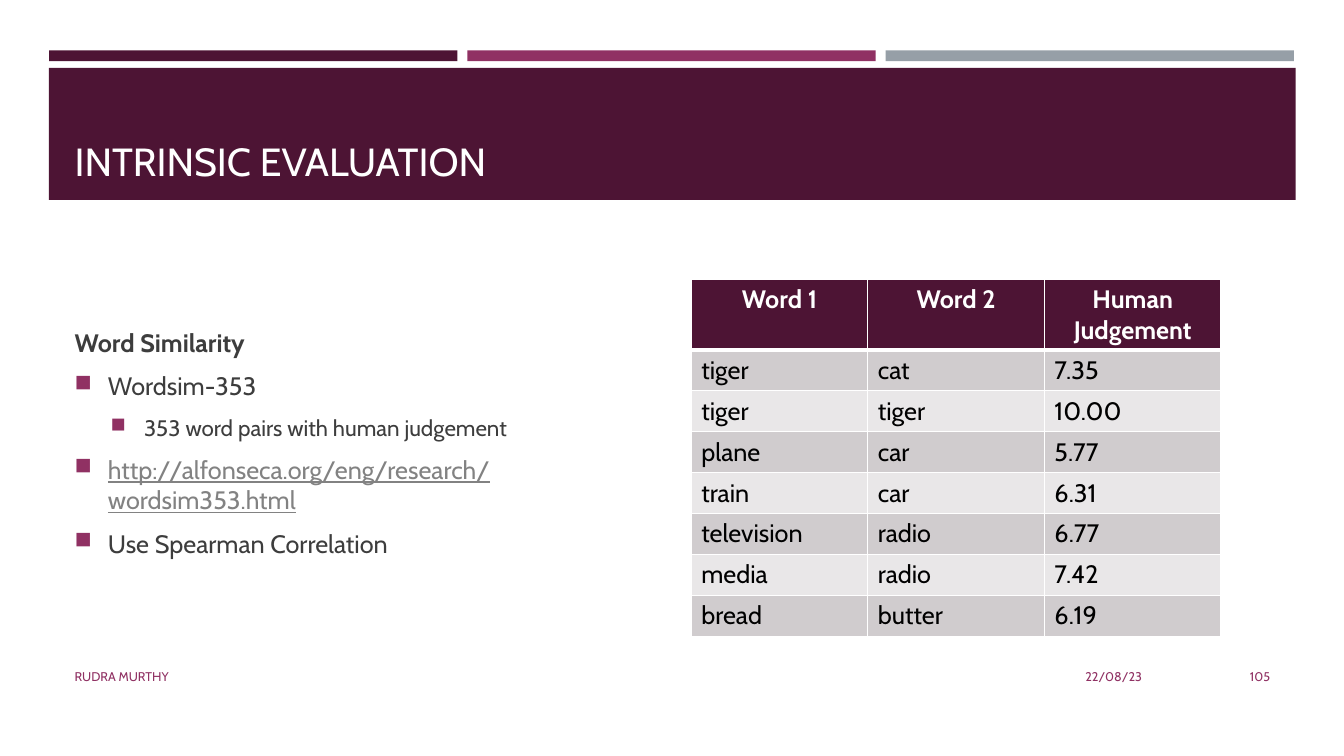
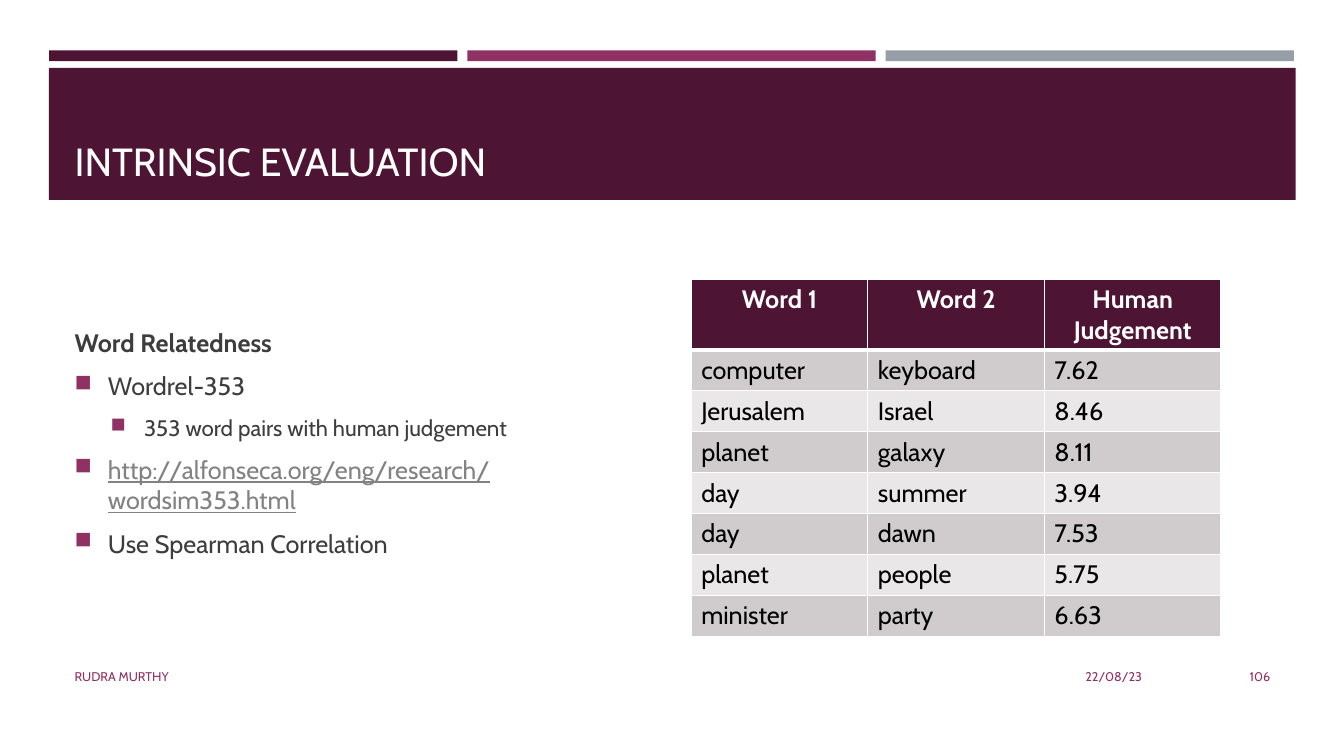
from dataclasses import dataclass

from lxml import etree
from pptx import Presentation
from pptx.dml.color import RGBColor
from pptx.enum import shapes, text
from pptx.oxml import ns
from pptx.util import Cm, Pt


@dataclass(frozen=True)
class Theme:
    font: str = "Cabin"
    plum: str = "4D1434"
    magenta: str = "903163"
    grey: str = "969FA7"
    white: str = "FFFFFF"
    body: str = "3D3D3D"
    link: str = "828282"
    cell: str = "000000"
    row_fills: tuple = ("D0CCCE", "E9E7E8")
    title_size: int = 28
    text_size: int = 18
    sub_size: int = 16
    footer_size: int = 9


THEME = Theme()
LEFT, CENTER, RIGHT = text.PP_ALIGN.LEFT, text.PP_ALIGN.CENTER, text.PP_ALIGN.RIGHT

TITLE = "INTRINSIC EVALUATION"
AUTHOR, DATE = "RUDRA MURTHY", "22/08/23"
HEADINGS = ("Word 1", "Word 2", "Human Judgement")
DATASET_URL = "http://alfonseca.org/eng/research/wordsim353.html"

SLIDES = [
    {
        "number": "105",
        "task": "Word Similarity",
        "dataset": "Wordsim-353",
        "pairs": [
            ("tiger", "cat", "7.35"),
            ("tiger", "tiger", "10.00"),
            ("plane", "car", "5.77"),
            ("train", "car", "6.31"),
            ("television", "radio", "6.77"),
            ("media", "radio", "7.42"),
            ("bread", "butter", "6.19"),
        ],
    },
    {
        "number": "106",
        "task": "Word Relatedness",
        "dataset": "Wordrel-353",
        "pairs": [
            ("computer", "keyboard", "7.62"),
            ("Jerusalem", "Israel", "8.46"),
            ("planet", "galaxy", "8.11"),
            ("day", "summer", "3.94"),
            ("day", "dawn", "7.53"),
            ("planet", "people", "5.75"),
            ("minister", "party", "6.63"),
        ],
    },
]

MARGIN = 1.63
# Indent of the text, in cm, for each bullet level
BULLET_INDENTS = (0.84, 1.75)
BULLET_HANG = 0.84


def add_band(slide, left, top, width, height, color):
    band = slide.shapes.add_shape(
        shapes.MSO_SHAPE.RECTANGLE, Cm(left), Cm(top), Cm(width), Cm(height))
    band.shadow.inherit = False
    band.fill.solid()
    band.fill.fore_color.rgb = RGBColor.from_string(color)
    band.line.fill.background()


def add_frame(slide, left, top, width, height, anchor):
    frame = slide.shapes.add_textbox(
        Cm(left), Cm(top), Cm(width), Cm(height)).text_frame
    frame.word_wrap = True
    frame.vertical_anchor = anchor
    return frame


def add_run(paragraph, words, size, color, bold=False, underline=False):
    run = paragraph.add_run()
    run.text = words
    font = run.font
    font.name, font.size = THEME.font, Pt(size)
    font.bold, font.underline = bold, underline
    font.color.rgb = RGBColor.from_string(color)


def add_bullet(paragraph, level):
    props = paragraph._p.get_or_add_pPr()
    props.set("marL", str(Cm(BULLET_INDENTS[level])))
    props.set("indent", str(-Cm(BULLET_HANG)))
    color = etree.SubElement(props, ns.qn("a:buClr"))
    etree.SubElement(color, ns.qn("a:srgbClr"), val=THEME.magenta)
    etree.SubElement(props, ns.qn("a:buSzPct"), val="92000")
    etree.SubElement(props, ns.qn("a:buChar"), char="■")


def set_borders(cell, bottom):
    """Draw white cell borders, 1 pt except for the bottom one."""
    props = cell._tc.get_or_add_tcPr()
    for side, width in (("L", 1), ("R", 1), ("T", 1), ("B", bottom)):
        line = etree.SubElement(props, ns.qn(f"a:ln{side}"), w=str(Pt(width)))
        fill = etree.SubElement(line, ns.qn("a:solidFill"))
        etree.SubElement(fill, ns.qn("a:srgbClr"), val=THEME.white)


def add_header(slide):
    width, gap = 10.29, 0.25
    for i, color in enumerate((THEME.plum, THEME.magenta, THEME.grey)):
        add_band(slide, 1.24 + i * (width + gap), 1.27, width, 0.27, color)
    add_band(slide, 1.23, 1.71, 31.42, 3.33, THEME.plum)
    title = add_frame(slide, MARGIN, 1.96, 30.63, 2.82, text.MSO_ANCHOR.BOTTOM)
    add_run(title.paragraphs[0], TITLE, THEME.title_size, THEME.white)


def add_footer(slide, number):
    for words, left, width, align in (
        (AUTHOR, MARGIN, 19.2, LEFT),
        (DATE, 21.13, 7.9, RIGHT),
        (number, 29.34, 2.92, RIGHT),
    ):
        frame = add_frame(slide, left, 16.54, width, 1.02, text.MSO_ANCHOR.MIDDLE)
        frame.paragraphs[0].alignment = align
        add_run(frame.paragraphs[0], words, THEME.footer_size, THEME.magenta)


def add_summary(slide, task, dataset):
    frame = add_frame(slide, MARGIN, 6.05, 14.38, 10.21, text.MSO_ANCHOR.MIDDLE)
    heading = frame.paragraphs[0]
    heading.space_after = Pt(6)
    add_run(heading, task, THEME.text_size, THEME.body, bold=True)
    for level, words in (
        (0, dataset),
        (1, "353 word pairs with human judgement"),
        (0, DATASET_URL),
        (0, "Use Spearman Correlation"),
    ):
        size = THEME.sub_size if level else THEME.text_size
        is_link = words == DATASET_URL
        point = frame.add_paragraph()
        point.level = level
        add_bullet(point, level)
        point.space_before, point.space_after = Pt(0.2 * size), Pt(6)
        add_run(point, words, size, THEME.link if is_link else THEME.body,
                underline=is_link)


def add_scores(slide, pairs):
    rows = [HEADINGS, *pairs]
    column, heading_height, row_height = 4.45, 1.78, 1.03
    table = slide.shapes.add_table(
        len(rows), len(HEADINGS), Cm(17.42), Cm(7.04),
        Cm(column * len(HEADINGS)),
        Cm(heading_height + row_height * len(pairs))).table
    for table_column in table.columns:
        table_column.width = Cm(column)
    for r, values in enumerate(rows):
        is_heading = r == 0
        table.rows[r].height = Cm(heading_height if is_heading else row_height)
        fill = THEME.plum if is_heading else THEME.row_fills[(r - 1) % 2]
        for c, value in enumerate(values):
            cell = table.cell(r, c)
            set_borders(cell, bottom=3 if is_heading else 1)
            cell.fill.solid()
            cell.fill.fore_color.rgb = RGBColor.from_string(fill)
            paragraph = cell.text_frame.paragraphs[0]
            paragraph.alignment = CENTER if is_heading else LEFT
            add_run(paragraph, value, THEME.text_size,
                    THEME.white if is_heading else THEME.cell, bold=is_heading)


def main():
    deck = Presentation()
    deck.slide_width, deck.slide_height = Cm(33.87), Cm(19.05)
    for content in SLIDES:
        slide = deck.slides.add_slide(deck.slide_layouts[6])
        add_header(slide)
        add_summary(slide, content["task"], content["dataset"])
        add_footer(slide, content["number"])
        add_scores(slide, content["pairs"])
    deck.save("out.pptx")


if __name__ == "__main__":
    main()
